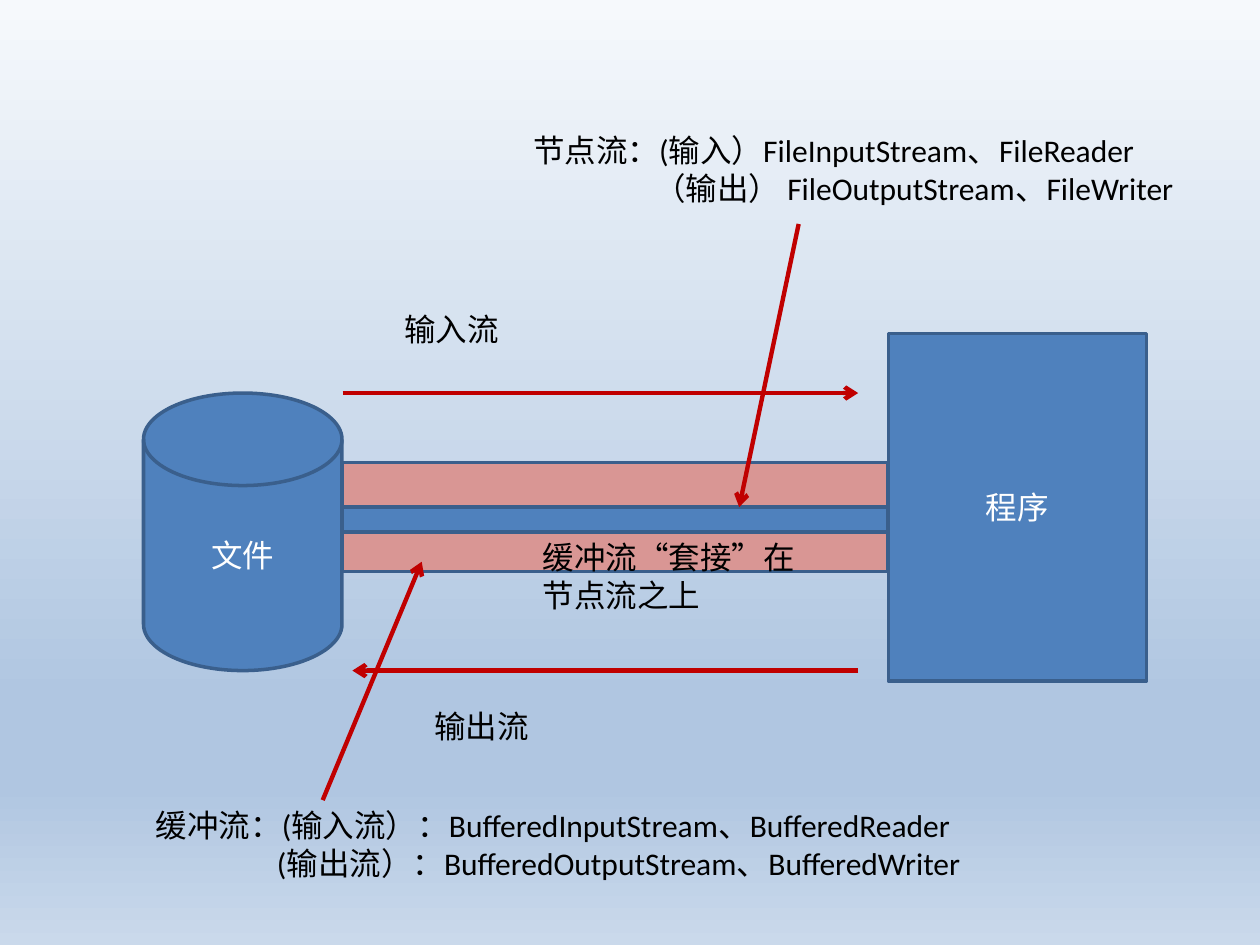
"""Draw how node streams and buffered streams link a file and a program."""
from pptx import Presentation
from pptx.dml.color import RGBColor
from pptx.enum.shapes import MSO_CONNECTOR, MSO_SHAPE
from pptx.enum.text import MSO_ANCHOR, MSO_AUTO_SIZE, PP_ALIGN
from pptx.oxml.ns import qn
from pptx.util import Pt
from lxml import etree

RECT = MSO_SHAPE.RECTANGLE
DISK = MSO_SHAPE.FLOWCHART_MAGNETIC_DISK
LINE = MSO_CONNECTOR.STRAIGHT
MIDDLE = MSO_ANCHOR.MIDDLE
CENTER = PP_ALIGN.CENTER
GROW = MSO_AUTO_SIZE.SHAPE_TO_FIT_TEXT

BLUE = RGBColor(0x4F, 0x81, 0xBD)
NAVY = RGBColor(0x3A, 0x5F, 0x8C)
PINK = RGBColor(0xD9, 0x96, 0x94)
RED = RGBColor(0xC0, 0x00, 0x00)
BLACK = RGBColor(0x00, 0x00, 0x00)
WHITE = RGBColor(0xFF, 0xFF, 0xFF)
SKY = [
    (0, RGBColor(0xF6, 0xF9, 0xFC)),
    (74, RGBColor(0xB0, 0xC6, 0xE1)),
    (83, RGBColor(0xB0, 0xC6, 0xE1)),
    (100, RGBColor(0xCA, 0xD9, 0xEB)),
]

FONT = "Calibri"
SIZE = Pt(18)
INDENT = Pt(69.2)


def paint_back(slide, stops):
    fill = slide.background.fill
    fill.gradient()
    fill.gradient_angle = 270
    group = slide.element.find(".//" + qn("a:gsLst"))
    group.clear()
    for place, color in stops:
        stop = etree.SubElement(group, qn("a:gs"), pos=str(place * 1000))
        etree.SubElement(stop, qn("a:srgbClr"), val=str(color))


def style_text(frame, color):
    for para in frame.paragraphs:
        for run in para.runs:
            run.font.name = FONT
            run.font.size = SIZE
            run.font.color.rgb = color


def add_block(slide, kind, left, top, width, height, fill, text=""):
    shape = slide.shapes.add_shape(kind, Pt(left), Pt(top), Pt(width), Pt(height))
    shape.shadow.inherit = False
    shape.fill.solid()
    shape.fill.fore_color.rgb = fill
    shape.line.color.rgb = NAVY
    shape.line.width = Pt(2)
    if text:
        frame = shape.text_frame
        frame.text = text
        frame.vertical_anchor = MIDDLE
        frame.paragraphs[0].alignment = CENTER
        style_text(frame, WHITE)


def add_label(slide, left, top, width, height, *lines):
    box = slide.shapes.add_textbox(Pt(left), Pt(top), Pt(width), Pt(height))
    frame = box.text_frame
    frame.word_wrap = True
    frame.auto_size = GROW
    frame.text = "\n".join(lines)
    for para in frame.paragraphs[1:]:
        para._p.get_or_add_pPr().set("marL", str(INDENT))
    style_text(frame, BLACK)


def add_arrow(slide, x1, y1, x2, y2):
    arrow = slide.shapes.add_connector(LINE, Pt(x1), Pt(y1), Pt(x2), Pt(y2))
    arrow.line.color.rgb = RED
    arrow.line.width = Pt(2.5)
    etree.SubElement(arrow.line._get_or_add_ln(), qn("a:tailEnd"), type="arrow")
    etree.SubElement(arrow.element.spPr, qn("a:effectLst"))


def main():
    deck = Presentation()
    deck.slide_width, deck.slide_height = Pt(720), Pt(540)
    slide = deck.slides.add_slide(deck.slide_layouts[6])
    paint_back(slide, SKY)

    disk_top, disk_tall = 224.6, 158.6
    disk_end = disk_top + disk_tall
    pipe_left, pipe_wide = 195.8, 311.8
    pipe_end = pipe_left + pipe_wide

    add_block(slide, RECT, pipe_left, 264.2, pipe_wide, 62.4, PINK)
    add_block(slide, DISK, 82, disk_top, 113.4, disk_tall, BLUE, "文件")
    add_block(slide, RECT, pipe_end, 190.6, 147.6, 198.6, BLUE, "程序")
    add_block(slide, RECT, pipe_left, 289.8, pipe_wide, 14.2, BLUE)

    add_arrow(slide, 456.4, 128, 422.4, 289.8)
    add_label(slide, 297.6, 71.4, 408.2, 51,
              "节点流：(输入）FileInputStream、FileReader",
              "（输出） FileOutputStream、FileWriter")
    add_arrow(slide, pipe_left, disk_top, 490.4, disk_top)
    add_arrow(slide, 490.4, disk_end, 201.4, disk_end)
    add_label(slide, 224, 173.6, 158.4, 29, "输入流")
    add_label(slide, 241, 400.4, 158.4, 29, "输出流")
    add_arrow(slide, 184.4, 457.2, 241, 321)
    add_label(slide, 82, 457.2, 516.2, 51,
              "缓冲流：(输入流）：BufferedInputStream、BufferedReader",
              "(输出流）：BufferedOutputStream、BufferedWriter")
    add_label(slide, 303.2, 304, 158.4, 51, "缓冲流“套接”在节点流之上")
    deck.save("out.pptx")


if __name__ == "__main__":
    main()
